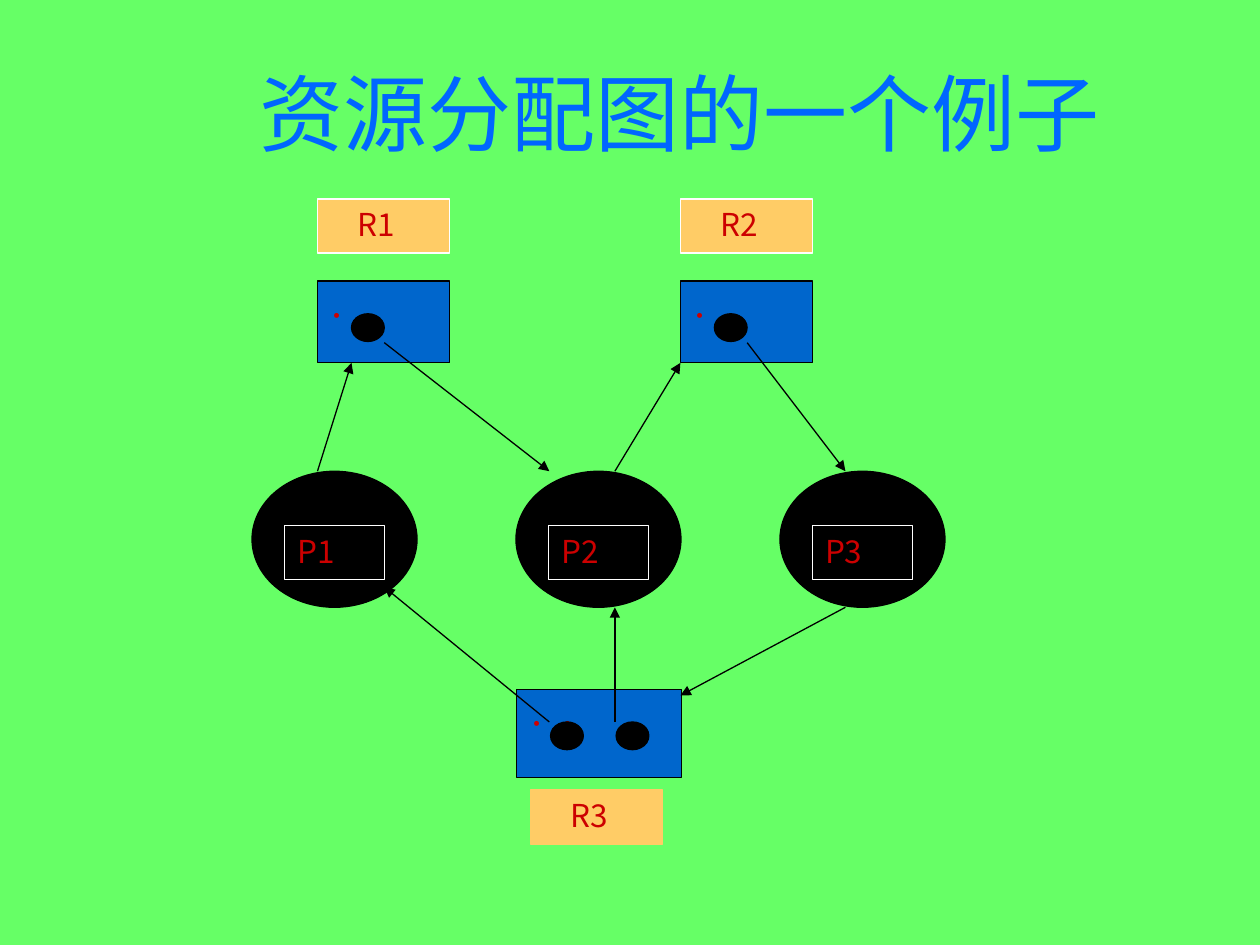
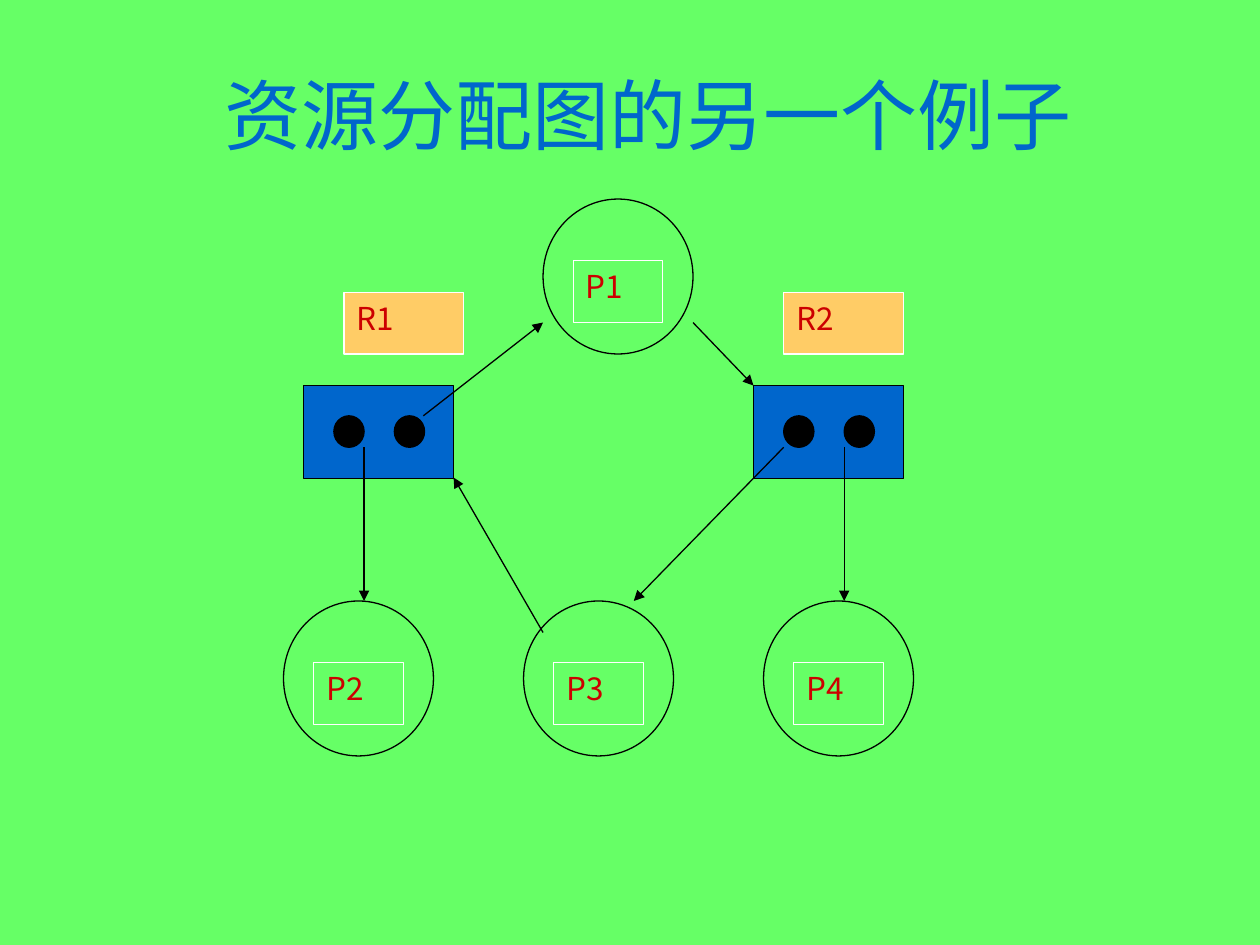
from dataclasses import dataclass

from lxml import etree
from pptx import Presentation
from pptx.dml.color import RGBColor
from pptx.enum.shapes import MSO_CONNECTOR, MSO_SHAPE
from pptx.enum.text import MSO_ANCHOR, PP_ALIGN
from pptx.oxml.ns import qn
from pptx.util import Inches, Pt

RECT, OVAL = MSO_SHAPE.RECTANGLE, MSO_SHAPE.OVAL
STRAIGHT = MSO_CONNECTOR.STRAIGHT
TOP, MIDDLE = MSO_ANCHOR.TOP, MSO_ANCHOR.MIDDLE
LEFT, CENTER, JUSTIFY = PP_ALIGN.LEFT, PP_ALIGN.CENTER, PP_ALIGN.JUSTIFY

GREEN, BLACK, WHITE = "66FF66", "000000", "FFFFFF"
ORANGE, BLUE, BRIGHT_BLUE, RED = "FFCC66", "0066CC", "0066FF", "CC0000"
TITLE_FONT, LABEL_FONT = "Times New Roman", "Noto Sans CJK JP"
LABEL_SIZE, LINE_WIDTH = 18, 0.75


@dataclass
class GraphStyle:
    """Sizes and offsets, in inches, shared by the nodes of one graph."""
    process_size: tuple
    process_fill: str
    badge_offset: tuple
    badge_size: tuple
    tag_size: tuple
    tag_inset: float
    dot_offset: tuple
    dot_size: tuple
    dot_step: float


SOLID_GRAPH = GraphStyle((1.31, 1.08), BLACK, (0.26, 0.43), (0.79, 0.43),
                         (1.05, 0.43), 0.32, (0.27, 0.26), (0.26, 0.22), 0.52)
OPEN_GRAPH = GraphStyle((1.19, 1.23), GREEN, (0.24, 0.49), (0.71, 0.49),
                        (0.95, 0.49), 0.1, (0.24, 0.24), (0.24, 0.25), 0.48)


def color(value):
    return RGBColor.from_string(value)


def write(shape, text, size, font, ink, align=LEFT, anchor=TOP, inset=0.1):
    frame = shape.text_frame
    frame.word_wrap = True
    frame.vertical_anchor = anchor
    frame.margin_left = Inches(inset)
    para = frame.paragraphs[0]
    para.alignment = align
    span = para.add_run()
    span.text = text
    span.font.size = Pt(size)
    span.font.color.rgb = color(ink)
    span.font.name = font
    east_asian = etree.SubElement(span.font._element, qn("a:ea"))
    east_asian.set("typeface", LABEL_FONT)


def add_node(page, kind, at, size, fill, line=BLACK):
    shape = page.shapes.add_shape(kind, *map(Inches, (*at, *size)))
    shape.shadow.inherit = False
    shape.fill.solid()
    shape.fill.fore_color.rgb = color(fill)
    shape.line.color.rgb = color(line)
    shape.line.width = Pt(LINE_WIDTH)
    return shape


def add_label(page, text, at, size, fill, line=WHITE, inset=0.1):
    box = add_node(page, RECT, at, size, fill, line)
    write(box, text, LABEL_SIZE, LABEL_FONT, RED, inset=inset)


def add_tag(page, style, text, at, line=WHITE):
    add_label(page, text, at, style.tag_size, ORANGE, line, style.tag_inset)


def add_process(page, style, name, at):
    """Circle with a framed name inside."""
    add_node(page, OVAL, at, style.process_size, style.process_fill)
    badge_at = [start + shift for start, shift in zip(at, style.badge_offset)]
    add_label(page, name, badge_at, style.badge_size, style.process_fill)


def add_resource(page, style, at, size, dots, text=""):
    """Box with one dot for each instance of the resource."""
    box = add_node(page, RECT, at, size, BLUE)
    if text:
        write(box, text, LABEL_SIZE, LABEL_FONT, RED, JUSTIFY)
    left, top = [start + shift for start, shift in zip(at, style.dot_offset)]
    for index in range(dots):
        dot_at = (left + index * style.dot_step, top)
        add_node(page, OVAL, dot_at, style.dot_size, BLACK)


def add_arrow(page, start, end):
    arrow = page.shapes.add_connector(STRAIGHT, *map(Inches, (*start, *end)))
    arrow.line.color.rgb = color(BLACK)
    arrow.line.width = Pt(LINE_WIDTH)
    outline = arrow.line._get_or_add_ln()
    etree.SubElement(outline, qn("a:tailEnd")).set("type", "triangle")
    etree.SubElement(arrow._element.spPr, qn("a:effectLst"))


def add_page(deck, title, at, size, ink):
    page = deck.slides.add_slide(deck.slide_layouts[6])
    page.background.fill.solid()
    page.background.fill.fore_color.rgb = color(GREEN)
    box = page.shapes.add_textbox(*map(Inches, (*at, 8.5, 1.25)))
    write(box, title, size, TITLE_FONT, ink, CENTER, MIDDLE)
    return page


def first_example(deck):
    page = add_page(deck, "资源分配图的一个例子", (1.14, 0.26), 48, BRIGHT_BLUE)
    style = SOLID_GRAPH

    # Resources and their tags
    for name, left in (("R1", 2.52), ("R2", 5.4)):
        add_tag(page, style, name, (left, 1.58))
        add_resource(page, style, (left, 2.23), (1.05, 0.65), 1, "．")
    add_resource(page, style, (4.1, 5.47), (1.31, 0.7), 2, "．．")
    add_tag(page, style, "R3", (4.21, 6.27), ORANGE)

    # Row of processes
    for index in range(3):
        add_process(page, style, f"P{index + 1}", (2 + index * 2.095, 3.74))

    # Requests and assignments
    for start, end in (
        ((2.52, 3.74), (2.79, 2.88)),
        ((3.05, 2.72), (4.36, 3.74)),
        ((4.88, 3.74), (5.4, 2.88)),
        ((5.93, 2.72), (6.71, 3.74)),
        ((4.36, 5.73), (3.05, 4.66)),
        ((4.88, 5.73), (4.88, 4.82)),
        ((6.71, 4.82), (5.4, 5.52)),
    ):
        add_arrow(page, start, end)


def second_example(deck):
    page = add_page(deck, "资源分配图的另一个例子", (0.9, 0.28), 44, BLUE)
    style = OPEN_GRAPH

    # Resources and their tags
    for name, tag_left, left in (("R1", 2.73, 2.41), ("R2", 6.22, 5.98)):
        add_tag(page, style, name, (tag_left, 2.32))
        add_resource(page, style, (left, 3.06), (1.19, 0.74), 2)

    # One process on top, a row of three below
    add_process(page, style, "P1", (4.31, 1.58))
    for index in range(3):
        add_process(page, style, f"P{index + 2}", (2.25 + index * 1.905, 4.77))

    # Requests and assignments
    for start, end in (
        ((3.36, 3.3), (4.31, 2.56)),
        ((5.5, 2.56), (5.98, 3.06)),
        ((6.7, 3.55), (6.7, 4.77)),
        ((6.22, 3.55), (5.03, 4.77)),
        ((4.31, 5.02), (3.6, 3.79)),
        ((2.89, 3.55), (2.89, 4.77)),
    ):
        add_arrow(page, start, end)


def main():
    deck = Presentation()
    deck.slide_width, deck.slide_height = Inches(10), Inches(7.5)
    first_example(deck)
    second_example(deck)
    deck.save("out.pptx")


if __name__ == "__main__":
    main()
